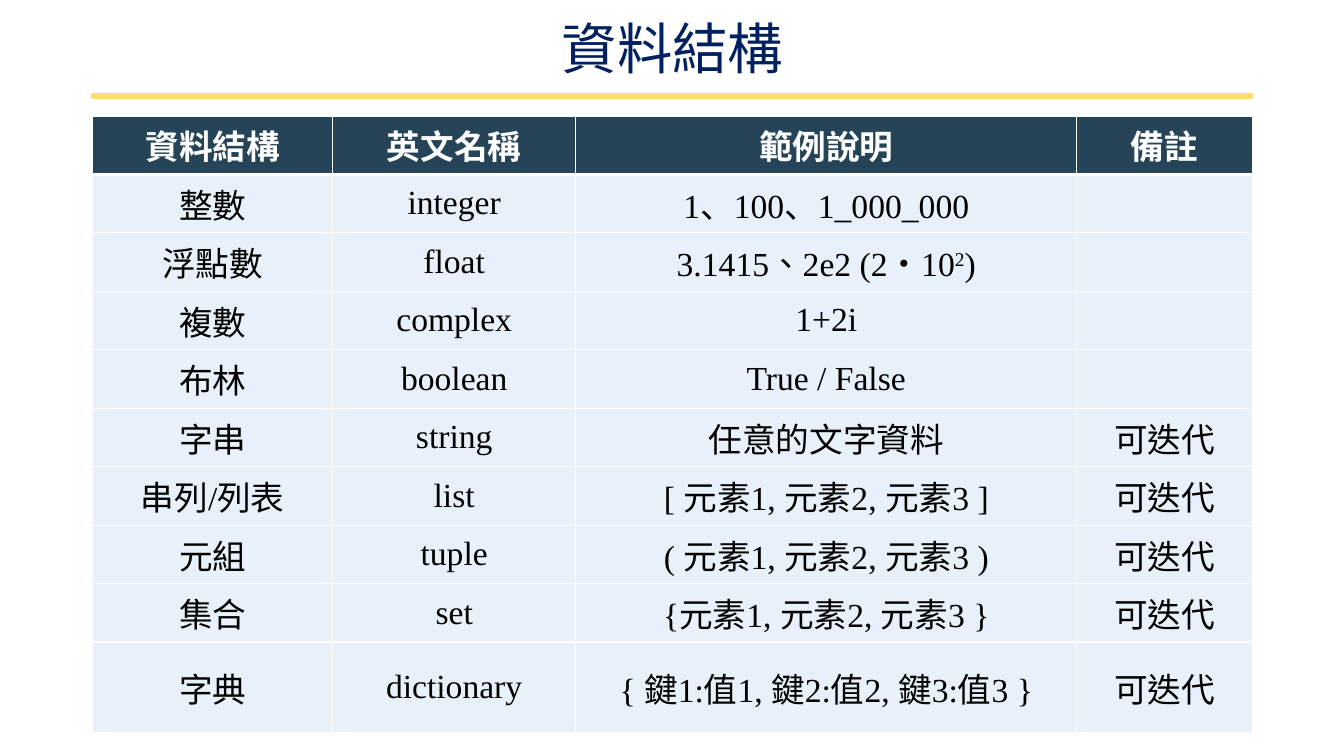
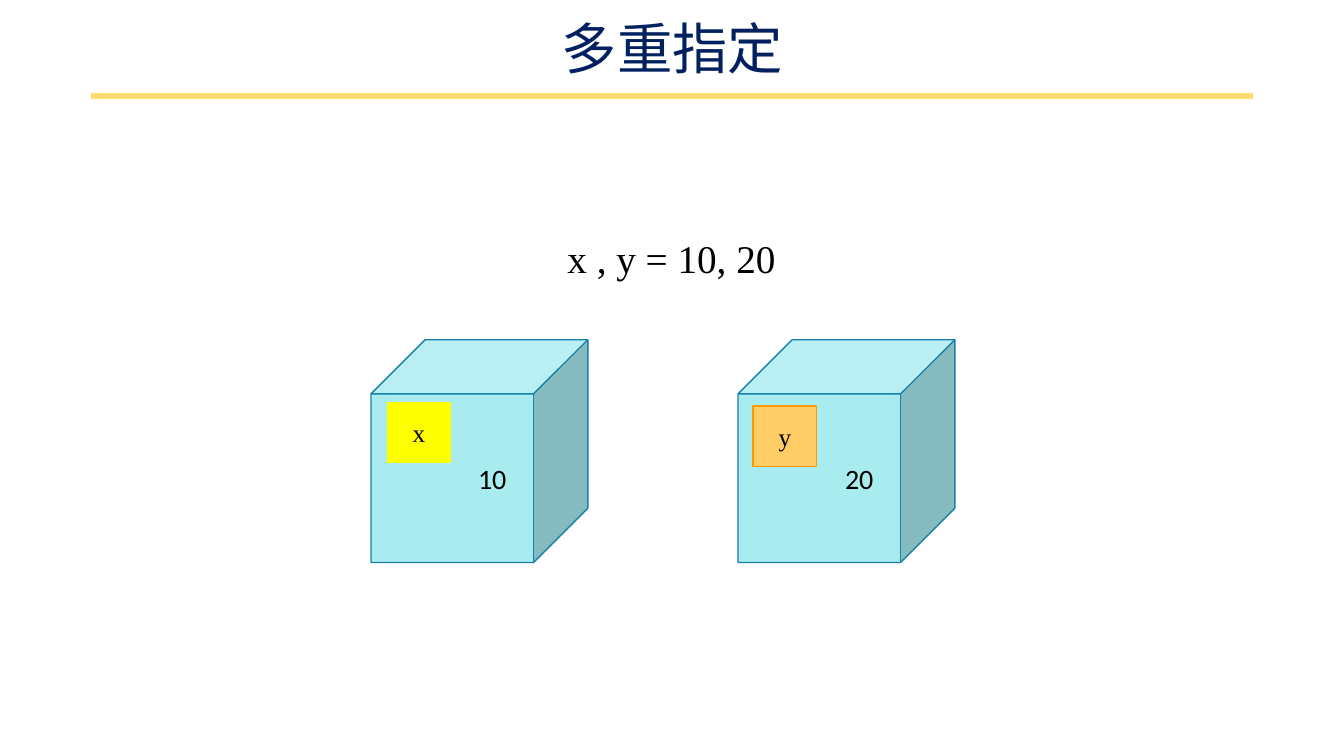
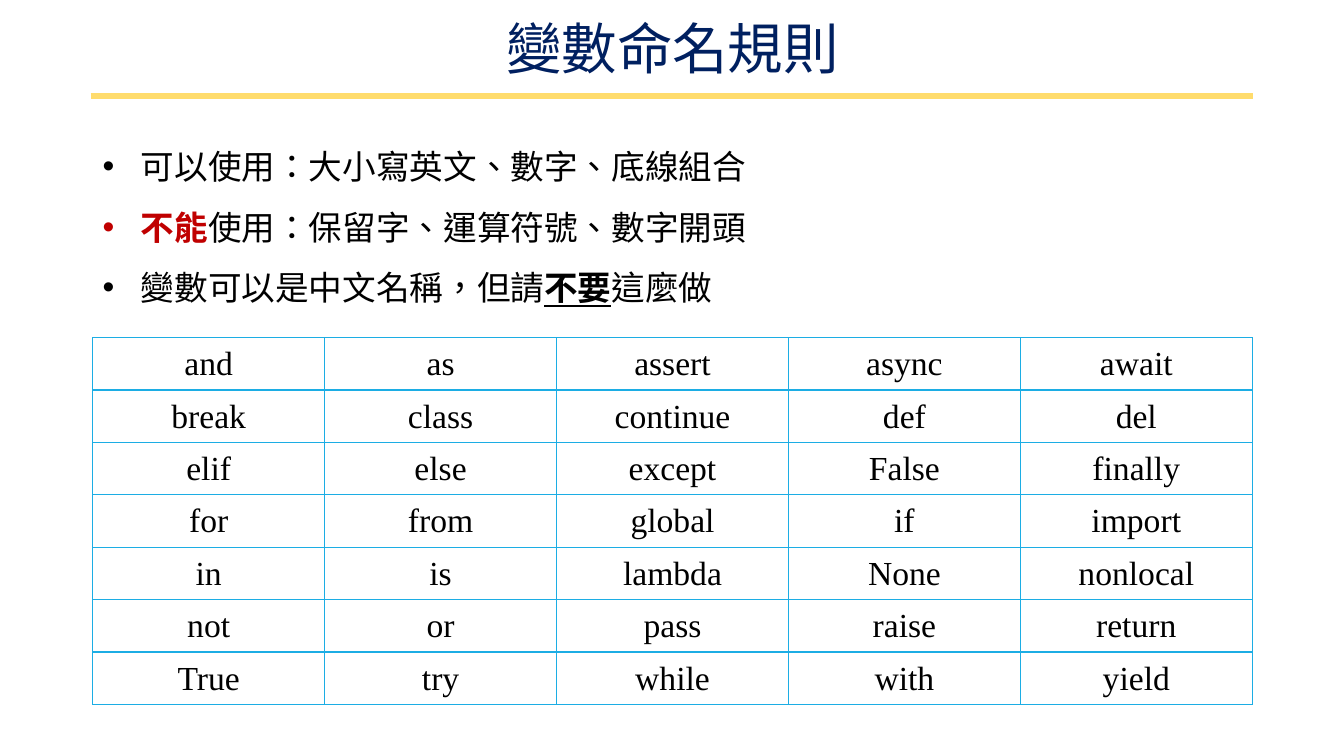
from dataclasses import dataclass

from lxml import etree
from pptx import Presentation
from pptx.dml.color import RGBColor
from pptx.enum import shapes, text
from pptx.oxml.ns import qn
from pptx.util import Pt

PX = 9144  # EMU per px, 100 px to the inch


@dataclass(frozen=True)
class Theme:
    serif: str = "Times New Roman"
    sans: str = "Calibri"
    cjk: str = "Noto Sans CJK SC"
    navy: str = "002060"
    gold: str = "FFDC6D"
    black: str = "000000"
    white: str = "FFFFFF"
    red: str = "C00000"
    head: str = "264457"
    body: str = "E8F1FA"
    grid: str = "1CADE4"
    cube: str = "A8ECEF"
    edge: str = "1580A9"
    title: float = 39.6
    code: int = 28
    text: int = 24
    value: int = 20
    tag: int = 18


T = Theme()
SIZE = (1333, 750)
LEFT, WIDE = 92, 1150
RULE = (90, 95, 1243, 95)
TITLE = (LEFT, 18, WIDE, 66)

ITER = "可迭代"
POWER = ["3.1415、2e2 (2", ("·", dict(font=T.cjk)), "10", ("2", dict(sup=True)), ")"]
TYPES = [
    ("資料結構", "英文名稱", "範例說明", "備註"),
    ("整數", "integer", "1、100、1_000_000", ""),
    ("浮點數", "float", POWER, ""),
    ("複數", "complex", "1+2i", ""),
    ("布林", "boolean", "True / False", ""),
    ("字串", "string", "任意的文字資料", ITER),
    ("串列/列表", "list", "[ 元素1, 元素2, 元素3 ]", ITER),
    ("元組", "tuple", "( 元素1, 元素2, 元素3 )", ITER),
    ("集合", "set", "{元素1, 元素2, 元素3 }", ITER),
    ("字典", "dictionary", "{ 鍵1:值1, 鍵2:值2, 鍵3:值3 }", ITER),
]
TYPE_COLS = (238, 241, 497, 174)

# name, value, cube left, tag offset, tag fill, tag line
BOXES = [
    ("x", "10", 368, (16, 62), "FFFF00", None),
    ("y", "20", 732, (15, 66), "FFCC66", "FF9900"),
]

RULES = [
    ["可以使用：大小寫英文、數字、底線組合"],
    [("不能", dict(color=T.red, bold=True)), "使用：保留字、運算符號、數字開頭"],
    ["變數可以是中文名稱，但請", ("不要", dict(bold=True, under=True)), "這麼做"],
]
WORDS = [row.split() for row in (
    "and as assert async await",
    "break class continue def del",
    "elif else except False finally",
    "for from global if import",
    "in is lambda None nonlocal",
    "not or pass raise return",
    "True try while with yield",
)]


def px(vals):
    return [v * PX for v in vals]


def rgb(code):
    return RGBColor.from_string(code)


def style(run, size=T.text, font=T.serif, color=T.black, bold=False,
          under=False, sup=False):
    face = run.font
    face.size, face.name = Pt(size), font
    face.bold, face.underline = bold, under
    face.color.rgb = rgb(color)
    props = run._r.get_or_add_rPr()
    props.set("lang", "zh-TW")
    if sup:
        props.set("baseline", "30000")
    face.name = font
    latin = props.find(qn("a:latin"))
    east = etree.Element(qn("a:ea"), typeface=T.cjk)
    latin.addnext(east)


def write(frame, paras, align="CENTER", anchor=None, space=None, bullet=False, **fmt):
    """Fill a frame; a paragraph is a string or a list of strings and (text, format)."""
    frame.word_wrap = True
    if anchor:
        frame.vertical_anchor = getattr(text.MSO_ANCHOR, anchor)
    for i, runs in enumerate(paras):
        para = frame.add_paragraph() if i else frame.paragraphs[0]
        para.alignment = getattr(text.PP_ALIGN, align)
        if space:
            para.line_spacing = space
        if bullet:
            props = para._p.get_or_add_pPr()
            props.set("marL", str(38 * PX))
            props.set("indent", str(-38 * PX))
            etree.SubElement(props, qn("a:buFont"), typeface="Arial")
            etree.SubElement(props, qn("a:buChar"), char="•")
        for part in [runs] if isinstance(runs, str) else runs:
            words, extra = (part, {}) if isinstance(part, str) else part
            if words:
                run = para.add_run()
                run.text = words
                style(run, **{**fmt, **extra})


def label(slide, box, paras, **fmt):
    write(slide.shapes.add_textbox(*px(box)).text_frame, paras, **fmt)


def block(group, kind, box, fill, line, words, inset=10, **fmt):
    shape = group.shapes.add_shape(kind, *px(box))
    shape.shadow.inherit = False
    shape.fill.solid()
    shape.fill.fore_color.rgb = rgb(fill)
    if line:
        shape.line.color.rgb = rgb(line)
        shape.line.width = Pt(1)
    else:
        shape.line.fill.background()
    shape.text_frame.margin_left = inset * PX
    write(shape.text_frame, [words], anchor="MIDDLE", **fmt)


def border(cell, color, widths):
    props = cell._tc.get_or_add_tcPr()
    for i, (side, width) in enumerate(zip("LRTB", widths)):
        line = etree.Element(qn("a:ln" + side), w=str(Pt(width)))
        fill = etree.SubElement(line, qn("a:solidFill"))
        etree.SubElement(fill, qn("a:srgbClr"), val=color)
        props.insert(i, line)


def table(slide, rows, top, cols, high, line, head=False, fill=None, pad=None):
    box = (LEFT, top, sum(cols), high * len(rows))
    grid = slide.shapes.add_table(len(rows), len(cols), *px(box)).table
    grid.first_row, grid.horz_banding = head, False
    for col, wide in zip(grid.columns, cols):
        col.width = wide * PX
    for r, row in enumerate(rows):
        grid.rows[r].height = high * PX
        first = head and r == 0
        for c, words in enumerate(row):
            cell = grid.cell(r, c)
            cell.vertical_anchor = text.MSO_ANCHOR.MIDDLE
            if pad is not None:
                cell.margin_left = cell.margin_right = cell.margin_top = pad * PX
                cell.margin_bottom = 0
            if fill:
                cell.fill.solid()
                cell.fill.fore_color.rgb = rgb(T.head if first else fill)
            else:
                cell.fill.background()
            border(cell, line, (1, 1, 3 if head and r == 1 else 1, 3 if first else 1))
            write(cell.text_frame, [words], bold=first,
                  color=T.white if first else T.black)


def page(deck, title):
    slide = deck.slides.add_slide(deck.slide_layouts[6])
    rule = slide.shapes.add_connector(shapes.MSO_CONNECTOR.STRAIGHT, *px(RULE))
    rule.line.color.rgb = rgb(T.gold)
    rule.line.width = Pt(4.5)
    etree.SubElement(rule._element.spPr, qn("a:effectLst"))
    label(slide, TITLE, [title], anchor="MIDDLE", space=0.9,
          size=T.title, color=T.navy)
    return slide


def main():
    deck = Presentation()
    deck.slide_width, deck.slide_height = px(SIZE)

    slide = page(deck, "資料結構")
    table(slide, TYPES, 115, TYPE_COLS, 58, T.white, head=True, fill=T.body)

    slide = page(deck, "多重指定")
    label(slide, (519, 228, 294, 57), ["x , y = 10, 20"], size=T.code)
    kind, top = shapes.MSO_SHAPE, 337
    for name, value, left, (dx, dy), fill, line in BOXES:
        group = slide.shapes.add_group_shape()
        block(group, kind.CUBE, (left, top, 215, 221), T.cube, T.edge, value,
              inset=89, size=T.value, font=T.sans)
        block(group, kind.FLOWCHART_PROCESS, (left + dx, top + dy, 63, 60),
              fill, line, name, size=T.tag)

    slide = page(deck, "變數命名規則")
    label(slide, (LEFT, 120, WIDE, 185), RULES, align="LEFT", space=1.5,
          bullet=True, font=T.cjk)
    count = len(WORDS[0])
    table(slide, WORDS, 335, [WIDE // count] * count, 52, T.grid, pad=1)

    deck.save("out.pptx")


if __name__ == "__main__":
    main()
